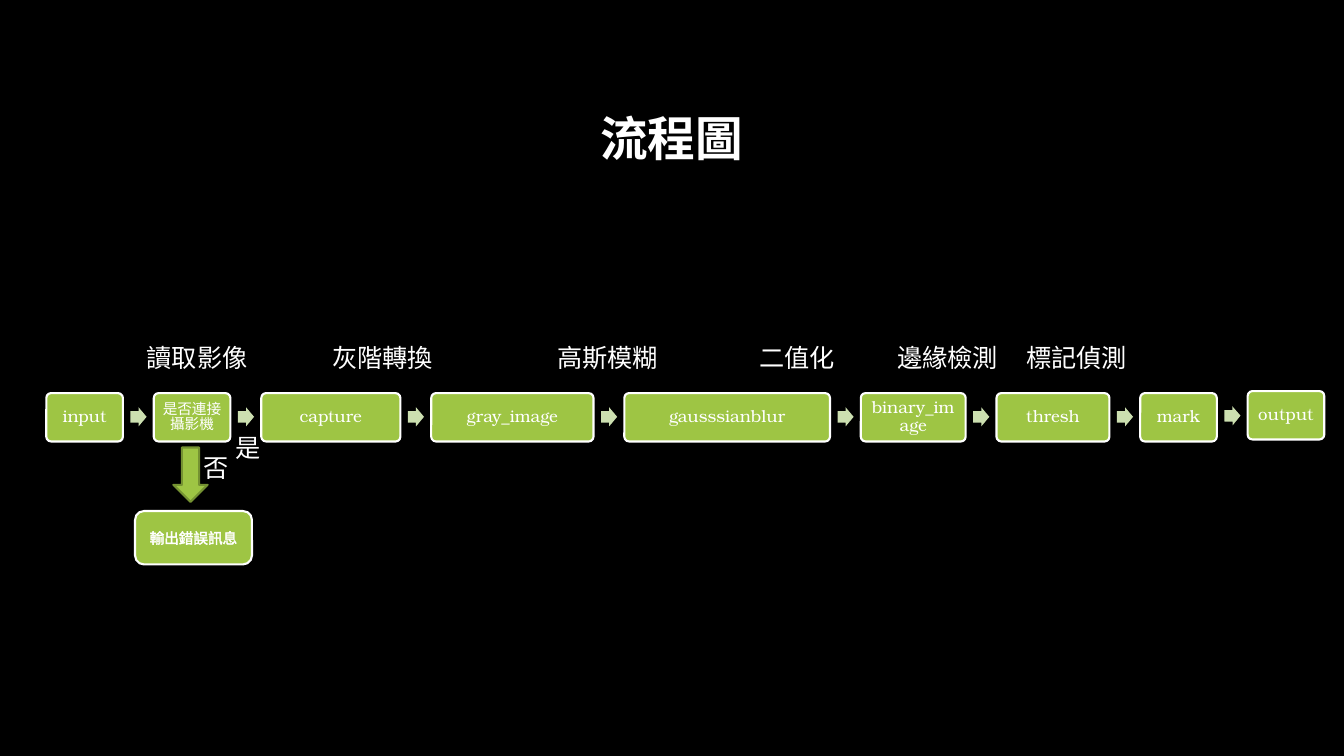
from lxml import etree
from pptx import Presentation
from pptx import util as u
from pptx.dml.color import RGBColor
from pptx.enum import shapes, text
from pptx.oxml import ns

# Grid: one column and one row are both a tenth of an inch
CELL = 0.1
COLUMNS, ROWS = 133.33, 75
LATIN, CJK = "TeX Gyre Bonum", "Noto Sans CJK SC"
WHITE, BLACK, GREEN, PALE, OLIVE = "FFFFFF", "000000", "9EC544", "CCDFB0", "759232"


def grid(cells):
    return u.Inches(cells * CELL)


def colour(code):
    return RGBColor.from_string(code)


class FlowSlide:
    """Holds the style and the current slide."""

    def __init__(self, deck):
        self.page = deck.slides.add_slide(deck.slide_layouts[5])
        background = self.page.background.fill
        background.solid()
        background.fore_color.rgb = colour(BLACK)

    def add_words(self, box, words, size, bold=False, latin=LATIN, inset=None,
                  spacing=1.0, outline=None):
        frame = box.text_frame
        frame.word_wrap = True
        frame.vertical_anchor = text.MSO_ANCHOR.MIDDLE
        if inset is not None:
            frame.margin_left = frame.margin_right = grid(inset)
            frame.margin_top = frame.margin_bottom = grid(inset)
        para = frame.paragraphs[0]
        para.alignment = text.PP_ALIGN.CENTER
        para.line_spacing = spacing
        span = para.add_run()
        span.text = words
        span.font.size = u.Pt(size)
        span.font.bold = bold
        span.font.name = latin
        span.font.color.rgb = colour(WHITE)
        props = span.font._element
        props.find(ns.qn("a:latin")).addnext(
            etree.Element(ns.qn("a:ea"), typeface=CJK))
        if outline:
            edge = etree.Element(ns.qn("a:ln"), w=str(u.Pt(outline)))
            fill = etree.SubElement(edge, ns.qn("a:solidFill"))
            etree.SubElement(fill, ns.qn("a:srgbClr"), val=WHITE)
            props.insert(0, edge)

    def title(self, words, left, top, width, height):
        box = self.page.shapes.title
        box.left, box.top = grid(left), grid(top)
        box.width, box.height = grid(width), grid(height)
        self.add_words(box, words, 34, bold=True, spacing=0.9)

    def shape(self, kind, left, top, width, height, fill, line=None, adjust=()):
        box = self.page.shapes.add_shape(
            kind, grid(left), grid(top), grid(width), grid(height))
        box.shadow.inherit = False
        box.fill.solid()
        box.fill.fore_color.rgb = colour(fill)
        if line:
            box.line.color.rgb = colour(line)
            box.line.width = u.Pt(1.5)
        else:
            box.line.fill.background()
        for index, value in enumerate(adjust):
            box.adjustments[index] = value
        return box

    def step(self, words, left, top, width, size, latin):
        box = self.shape(shapes.MSO_SHAPE.ROUNDED_RECTANGLE,
                         left, top, width, 4.8, GREEN, WHITE, (0.1,))
        self.add_words(box, words, size, latin=latin, inset=0.65, spacing=0.9)

    def arrow(self, left, top, turn):
        box = self.shape(shapes.MSO_SHAPE.RIGHT_ARROW,
                         left, top, 1.6, 1.9, PALE, adjust=(0.6, 0.5))
        box.rotation = turn

    def label(self, words, centre, top):
        width = 2.5 * len(words) + 2
        box = self.page.shapes.add_textbox(
            grid(centre - width / 2), grid(top), grid(width), grid(4))
        self.add_words(box, words, 18)
        box.text_frame.word_wrap = False


def main():
    deck = Presentation()
    deck.slide_width, deck.slide_height = grid(COLUMNS), grid(ROWS)
    slide = FlowSlide(deck)
    slide.title("流程圖", 10, 6.7, 113.2, 14.5)

    # Chain of steps, with an arrow in each gap; the last step sits higher
    steps = [("input", 7.6), ("是否連接攝影機", 7.6), ("capture", 13.8),
             ("gray_image", 16.1), ("gausssianblur", 20.4),
             ("binary_image", 10.4), ("thresh", 11.2), ("mark", 7.6),
             ("output", 7.6)]
    left, gap = 4.6, 3.06
    for index, (words, width) in enumerate(steps):
        last = index == len(steps) - 1
        if index:
            slide.arrow(left - gap + 0.75, 40.3 if last else 40.4,
                        359 if last else 0)
        size, latin = (12, LATIN) if words.isascii() else (10.5, CJK)
        slide.step(words, left, 38.8 if last else 39, width, size, latin)
        left += width + gap

    # Names of the operations above the chain
    for words, centre in [("讀取影像", 19.55), ("灰階轉換", 37.95),
                          ("高斯模糊", 60.27), ("二值化", 79.1),
                          ("邊緣檢測", 94), ("標記偵測", 106.8)]:
        slide.label(words, centre, 33.5)

    # Branch for a missing camera
    slide.label("是", 24.6, 42.4)
    slide.shape(shapes.MSO_SHAPE.DOWN_ARROW, 17.2, 44.4, 3.4, 5.4, GREEN, OLIVE)
    slide.label("否", 21.4, 44.4)
    error = slide.shape(shapes.MSO_SHAPE.ROUNDED_RECTANGLE,
                        13.4, 50.7, 11.6, 5.3, GREEN, WHITE)
    slide.add_words(error, "輸出錯誤訊息", 10.5, outline=0.75)

    deck.save("out.pptx")


if __name__ == "__main__":
    main()
